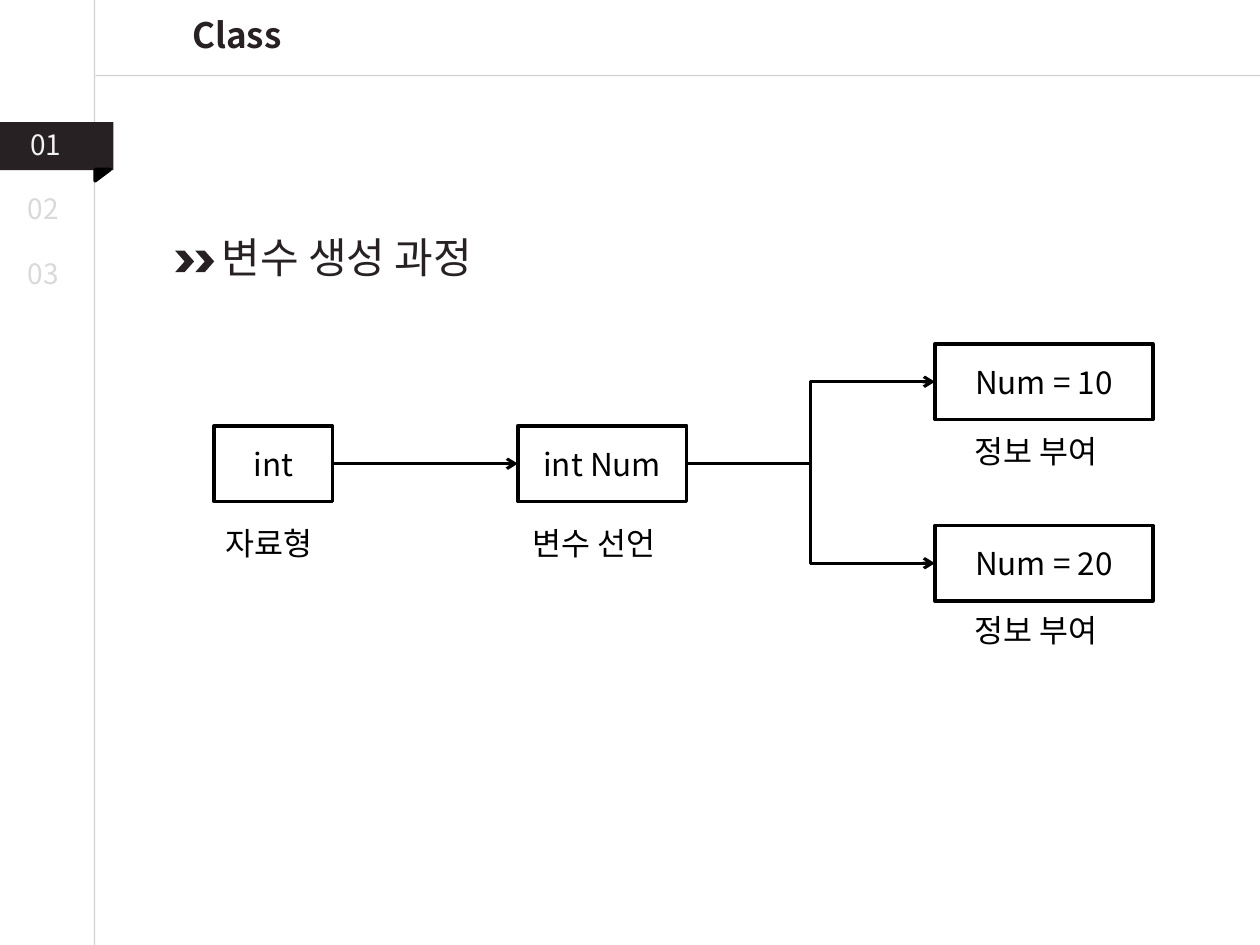
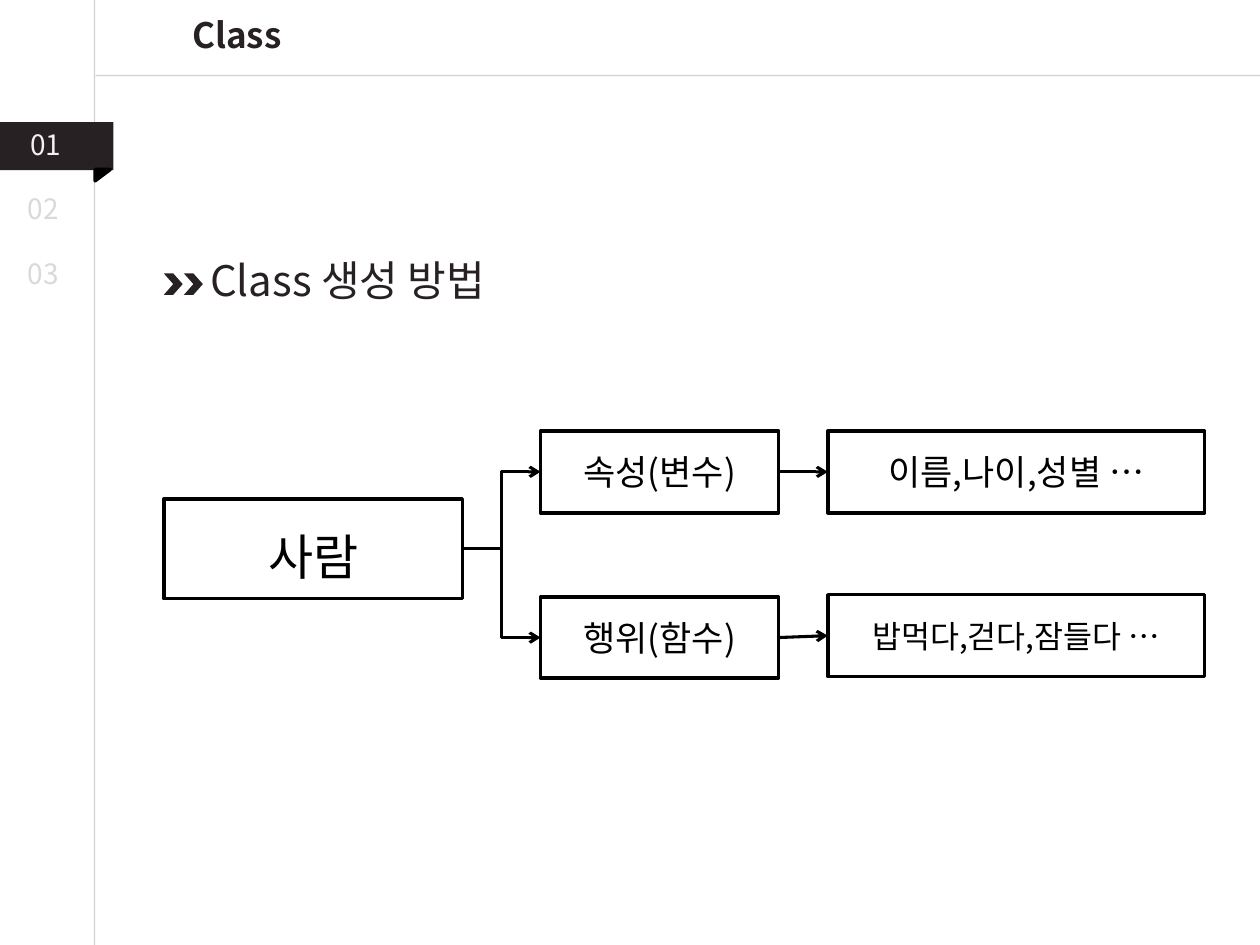
from dataclasses import dataclass

import pptx
import pptx.dml.color
import pptx.enum.shapes
import pptx.enum.text
import pptx.oxml
import pptx.oxml.ns
import pptx.util
from pptx.dml.color import RGBColor
from pptx.util import Inches

SHAPE = pptx.enum.shapes.MSO_SHAPE
CONNECTOR = pptx.enum.shapes.MSO_CONNECTOR
ALIGN = pptx.enum.text.PP_ALIGN
ANCHOR = pptx.enum.text.MSO_ANCHOR

FONT = "Noto Sans CJK KR"
INK = RGBColor(0x27, 0x21, 0x23)
BLACK = RGBColor(0x00, 0x00, 0x00)
RULE = RGBColor(0xA6, 0xA6, 0xA6)
ACTIVE = RGBColor(0xF2, 0xF2, 0xF2)
INACTIVE = RGBColor(0xD9, 0xD9, 0xD9)
RIGHT_SIDE, LEFT_SIDE = 3, 1


@dataclass
class Node:
    """A box of a diagram, with an optional label centred below it."""
    text: str
    left: float
    top: float
    width: float
    height: float
    size: int = 18
    margin_top: float = 0.05
    label: str = ""
    label_width: float = 1.3
    label_gap: float = 0.13


@dataclass
class Link:
    start: str
    end: str
    elbow: bool = False


@dataclass
class Diagram:
    heading: str
    heading_left: float
    heading_top: float
    heading_width: float
    nodes: dict[str, Node]
    links: list[Link]


DIAGRAMS = [
    Diagram(
        "변수 생성 과정", 1.66, 1.79, 5.24,
        {
            "type": Node("int", 1.7, 3.38, 0.94, 0.6, label="자료형", label_width=0.96),
            "variable": Node("int Num", 4.11, 3.38, 1.34, 0.6, label="변수 선언"),
            "ten": Node("Num = 10", 7.42, 2.73, 1.73, 0.6, label="정보 부여", label_gap=0.05),
            "twenty": Node("Num = 20", 7.42, 4.17, 1.73, 0.6, label="정보 부여", label_gap=0.03),
        },
        [
            Link("type", "variable"),
            Link("variable", "ten", elbow=True),
            Link("variable", "twenty", elbow=True),
        ],
    ),
    Diagram(
        "Class 생성 방법", 1.57, 1.97, 3.77,
        {
            "person": Node("사람", 1.3, 3.96, 2.37, 0.79, size=28, margin_top=0.17),
            "attributes": Node("속성(변수)", 4.29, 3.42, 1.89, 0.65, size=20),
            "actions": Node("행위(함수)", 4.29, 4.74, 1.89, 0.64, size=20),
            "fields": Node("이름,나이,성별 …", 6.57, 3.42, 2.99, 0.65, size=20),
            "methods": Node("밥먹다,걷다,잠들다 …", 6.57, 4.72, 2.99, 0.65),
        },
        [
            Link("person", "attributes", elbow=True),
            Link("person", "actions", elbow=True),
            Link("attributes", "fields"),
            Link("actions", "methods"),
        ],
    ),
]


def write(sp, text: str, *, size: int = 18, color: RGBColor = BLACK,
          bold: bool = False, align=ALIGN.LEFT, anchor=ANCHOR.TOP,
          margin_top: float = 0.05) -> None:
    tf = sp.text_frame
    tf.word_wrap = True
    tf.auto_size = pptx.enum.text.MSO_AUTO_SIZE.NONE
    tf.vertical_anchor = anchor
    tf.margin_top = Inches(margin_top)
    p = tf.paragraphs[0]
    p.alignment = align
    r = p.add_run()
    r.text = text
    r.font.name = FONT
    r.font.size = pptx.util.Pt(size)
    r.font.bold = bold
    r.font.color.rgb = color
    east_asian = pptx.oxml.parse_xml(
        f'<a:ea {pptx.oxml.ns.nsdecls("a")} typeface="{FONT}"/>')
    r.font._element.append(east_asian)


def add_text(s, text: str, left: float, top: float, width: float,
             height: float, **fmt) -> None:
    box = s.shapes.add_textbox(Inches(left), Inches(top), Inches(width), Inches(height))
    write(box, text, **fmt)


def add_shape(s, kind, left: float, top: float, width: float, height: float,
              fill: RGBColor | None = None, line: RGBColor | None = None):
    sp = s.shapes.add_shape(kind, Inches(left), Inches(top), Inches(width), Inches(height))
    sp.shadow.inherit = False
    if fill is None:
        sp.fill.background()
    else:
        sp.fill.solid()
        sp.fill.fore_color.rgb = fill
    if line is None:
        sp.line.fill.background()
    else:
        sp.line.color.rgb = line
        sp.line.width = pptx.util.Pt(2)
    return sp


def add_line(s, kind, x1: float, y1: float, x2: float, y2: float,
             color: RGBColor, width: float):
    c = s.shapes.add_connector(kind, Inches(x1), Inches(y1), Inches(x2), Inches(y2))
    c.line.color.rgb = color
    c.line.width = pptx.util.Pt(width)
    c._element.spPr.append(pptx.oxml.parse_xml(
        f'<a:effectLst {pptx.oxml.ns.nsdecls("a")}/>'))
    return c


def add_rule(s, x1: float, y1: float, x2: float, y2: float) -> None:
    """Draw a half-transparent frame line."""
    c = add_line(s, CONNECTOR.STRAIGHT, x1, y1, x2, y2, RULE, 0.75)
    color = c._element.spPr.find(".//" + pptx.oxml.ns.qn("a:srgbClr"))
    color.append(pptx.oxml.parse_xml(
        f'<a:alpha {pptx.oxml.ns.nsdecls("a")} val="50000"/>'))


def add_frame(s) -> None:
    """Draw the title, rules and chapter tabs that all slides share."""
    add_rule(s, 0.75, 0, 0.75, 7.5)
    add_rule(s, 10, 0.6, 0.76, 0.6)
    add_shape(s, SHAPE.RECTANGLE, 0, 0.97, 0.9, 0.38, fill=INK)
    fold = add_shape(s, SHAPE.RIGHT_TRIANGLE, 0.77, 1.33, 0.09, 0.12, fill=BLACK, line=BLACK)
    fold.rotation = 90
    add_text(s, "01", 0.14, 0.96, 0.59, 0.37, size=16, color=ACTIVE)
    for number, top in (("02", 1.47), ("03", 1.99)):
        add_text(s, number, 0.12, top, 0.49, 0.37, size=16, color=INACTIVE)
    title = s.shapes.title
    title.left, title.top = Inches(0.81), Inches(0.06)
    title.width, title.height = Inches(2.14), Inches(0.44)
    write(title, "Class", size=20, color=INK, bold=True, align=ALIGN.CENTER)


def add_heading(s, d: Diagram) -> None:
    for offset in (0.11, 0.27):
        add_shape(s, SHAPE.CHEVRON, d.heading_left - offset, d.heading_top + 0.2,
                  0.15, 0.17, fill=INK)
    add_text(s, d.heading, d.heading_left, d.heading_top, d.heading_width, 0.5,
             size=24, color=INK)


def add_node(s, n: Node):
    sp = add_shape(s, SHAPE.RECTANGLE, n.left, n.top, n.width, n.height, line=BLACK)
    write(sp, n.text, size=n.size, align=ALIGN.CENTER, anchor=ANCHOR.MIDDLE,
          margin_top=n.margin_top)
    if n.label:
        add_text(s, n.label, n.left + (n.width - n.label_width) / 2,
                 n.top + n.height + n.label_gap, n.label_width, 0.4)
    return sp


def add_link(s, start, end, elbow: bool) -> None:
    """Join the right side of one box to the left side of another."""
    kind = CONNECTOR.ELBOW if elbow else CONNECTOR.STRAIGHT
    c = add_line(s, kind, 0, 0, 1, 1, BLACK, 1.75)
    c.begin_connect(start, RIGHT_SIDE)
    c.end_connect(end, LEFT_SIDE)
    c.line._get_or_add_ln().append(pptx.oxml.parse_xml(
        f'<a:tailEnd {pptx.oxml.ns.nsdecls("a")} type="arrow"/>'))


def add_diagram(s, d: Diagram) -> None:
    boxes = {name: add_node(s, n) for name, n in d.nodes.items()}
    for link in d.links:
        add_link(s, boxes[link.start], boxes[link.end], link.elbow)


def main() -> None:
    prs = pptx.Presentation()
    prs.slide_width, prs.slide_height = Inches(10), Inches(7.5)
    title_only = prs.slide_layouts[5]
    for d in DIAGRAMS:
        s = prs.slides.add_slide(title_only)
        add_frame(s)
        add_heading(s, d)
        add_diagram(s, d)
    prs.save("out.pptx")


if __name__ == "__main__":
    main()
